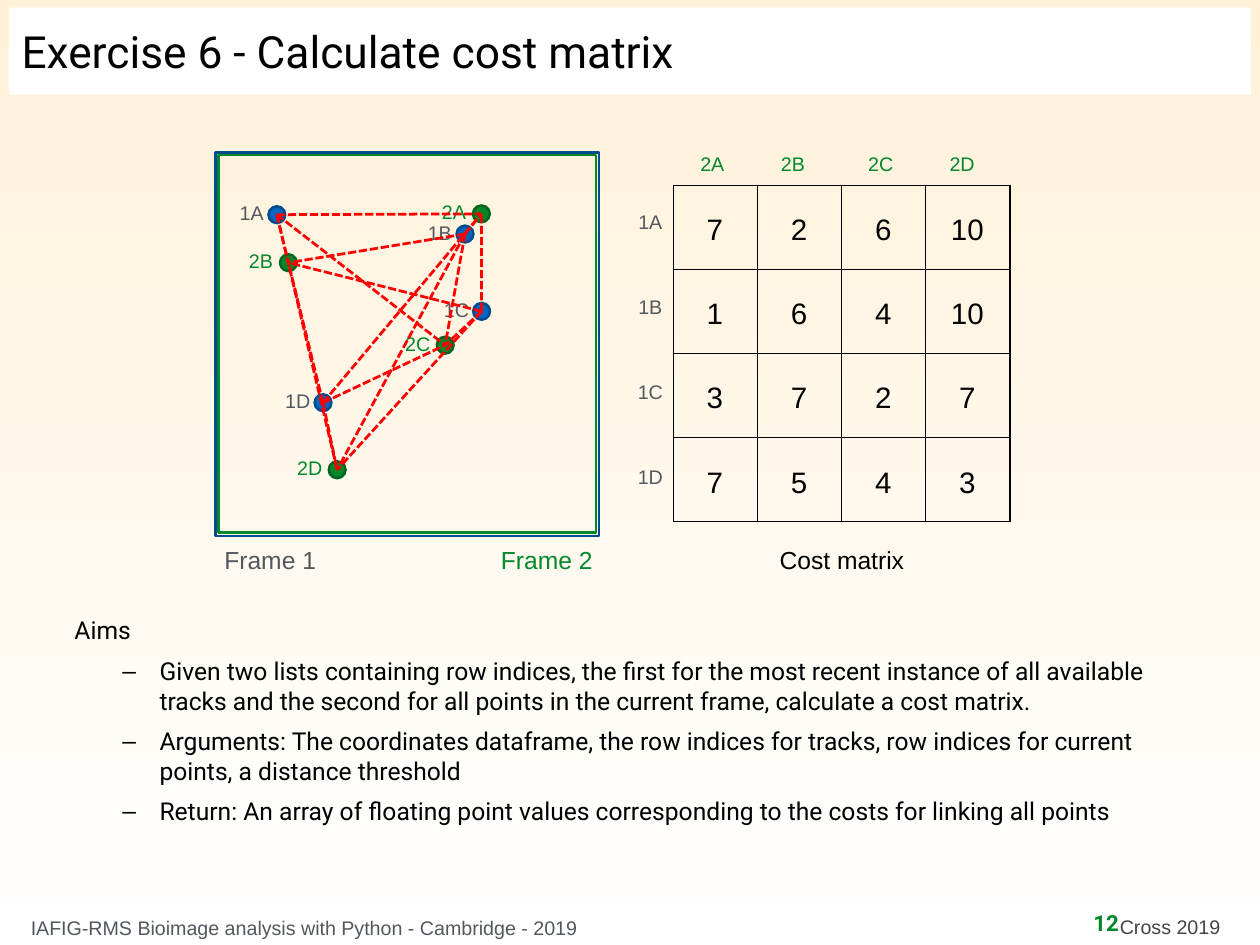
from itertools import product

from lxml import etree
from pptx import Presentation
from pptx.dml.color import RGBColor
from pptx.enum import dml, shapes, text as txt
from pptx.oxml import ns
from pptx.util import Pt

HUES = {
    "ink": "000000", "white": "FFFFFF", "cream": "FFF1D8", "gray": "53585F",
    "dark": "444444", "green": "00882B", "moss": "006520", "blue": "0365C0",
    "navy": "024B8E", "red": "FF0000",
}
# Centres of the points in each frame
FIRST = {"1A": (225, 174.5), "1B": (377.9, 190.2),
         "1C": (391.4, 253), "1D": (262.5, 327.3)}
SECOND = {"2A": (391.2, 173.8), "2B": (234.4, 213.5),
          "2C": (361.8, 280.5), "2D": (274, 381.8)}
COSTS = [[7, 2, 6, 10], [1, 6, 4, 10], [3, 7, 2, 7], [7, 5, 4, 3]]
AIMS = [
    "Given two lists containing row indices, the first for the most recent "
    "instance of all available tracks and the second for all points in the "
    "current frame, calculate a cost matrix.",
    "Arguments: The coordinates dataframe, the row indices for tracks, "
    "row indices for current points, a distance threshold",
    "Return: An array of floating point values corresponding to the costs "
    "for linking all points",
]
CELL = 68.4
DOT = 13.7
LEFT, MID = txt.PP_ALIGN.LEFT, txt.PP_ALIGN.CENTER


def hue(name):
    return RGBColor.from_string(HUES[name])


def box(*nums):
    return [Pt(n) for n in nums]


def write(para, words, size=16, font="Arial", color="ink", bold=False,
          align=MID, before=0):
    para.alignment = align
    para.space_before = Pt(before)
    run = para.add_run()
    run.text = words
    run.font.size = Pt(size)
    run.font.name = font
    run.font.bold = bold
    run.font.color.rgb = hue(color)


def frame(shape, pad=(7.2, 3.6), wrap=True, anchor=txt.MSO_ANCHOR.TOP):
    body = shape.text_frame
    body.auto_size = txt.MSO_AUTO_SIZE.NONE
    body.word_wrap = wrap
    body.vertical_anchor = anchor
    body.margin_left = body.margin_right = Pt(pad[0])
    body.margin_top = body.margin_bottom = Pt(pad[1])
    return body


def label(slide, words, place, pad=(7.2, 3.6), wrap=True, **style):
    body = frame(slide.shapes.add_textbox(*box(*place)), pad, wrap)
    write(body.paragraphs[0], words, **style)


def block(slide, kind, place, fill=None, line=None):
    item = slide.shapes.add_shape(kind, *box(*place))
    item.shadow.inherit = False
    if fill:
        item.fill.solid()
        item.fill.fore_color.rgb = hue(fill)
    else:
        item.fill.background()
    if line:
        item.line.color.rgb = hue(line)
        item.line.width = Pt(2)
    else:
        item.line.fill.background()


def link(slide, start, end):
    line = slide.shapes.add_connector(
        shapes.MSO_CONNECTOR.STRAIGHT, *box(*start, *end))
    line.line.color.rgb = hue("red")
    line.line.width = Pt(2.25)
    line.line.dash_style = dml.MSO_LINE.SQUARE_DOT
    etree.SubElement(line._element.spPr, ns.qn("a:effectLst"))


def points(slide, spots, shift, color, fill, edge):
    for name, (x, y) in spots.items():
        label(slide, name, (x - shift - 22.3, y - 14.6, 44.6, 26.6), color=color)
        block(slide, shapes.MSO_SHAPE.OVAL,
              (x - DOT / 2, y - DOT / 2, DOT, DOT), fill, edge)


def border(cell):
    cell.fill.background()
    props = cell._tc.get_or_add_tcPr()
    for i, side in enumerate("LRTB"):
        line = etree.Element(ns.qn("a:ln" + side), w=str(Pt(1)))
        solid = etree.SubElement(line, ns.qn("a:solidFill"))
        etree.SubElement(solid, ns.qn("a:srgbClr"), val=HUES["ink"])
        props.insert(i, line)


def matrix(slide):
    size = len(COSTS)
    table = slide.shapes.add_table(
        size, size, *box(547.2, 150.5, CELL * size, CELL * size)).table
    table.first_row = table.horz_banding = False
    for i in range(size):
        table.columns[i].width = table.rows[i].height = Pt(CELL)
    # The costs lie over the grid
    for i, j in product(range(size), repeat=2):
        border(table.cell(i, j))
        label(slide, str(COSTS[i][j]),
              (547.2 + CELL * j, 166.3 + CELL * i, 67.7, 36),
              pad=(7.2, 5.2), size=24)
    for i, name in enumerate(FIRST):
        label(slide, name, (506.2, 167 + 69.1 * i, 44.6, 26.6), color="gray")
    for x, name in zip((556.6, 622.1, 693.4, 759.6), SECOND):
        label(slide, name, (x, 119.9, 44.6, 26.6), color="green")


def place(holder, *nums):
    holder.left, holder.top, holder.width, holder.height = box(*nums)


def heading(slide):
    title = slide.shapes.title
    place(title, 7.2, 6.3, 1009.4, 70.6)
    title.fill.solid()
    title.fill.fore_color.rgb = hue("white")
    body = frame(title, (10.3, 5.8), anchor=txt.MSO_ANCHOR.MIDDLE)
    write(body.paragraphs[0], "Exercise 6 - Calculate cost matrix",
          size=36, font="Roboto", align=LEFT)


def bullet(para, mark=None, left=0, hang=0):
    props = para._p.get_or_add_pPr()
    props.set("marL", str(Pt(left)))
    props.set("indent", str(Pt(-hang)))
    if mark:
        etree.SubElement(props, ns.qn("a:buChar"), char=mark)
    else:
        etree.SubElement(props, ns.qn("a:buNone"))


def aims(slide):
    holder = slide.placeholders[1]
    place(holder, 54.7, 494.2, 914.4, 187.9)
    body = frame(holder, (5.8, 5.8))
    style = dict(size=20, font="Roboto", align=LEFT)
    bullet(body.paragraphs[0])
    write(body.paragraphs[0], "Aims", **style)
    for words in AIMS:
        para = body.add_paragraph()
        para.level = 1
        bullet(para, "–", 69.1, 30.2)
        write(para, words, before=9, **style)


def footer(slide):
    block(slide, shapes.MSO_SHAPE.RECTANGLE, (6.5, 743.8, 1017.3, 24.2), "white")
    flat = dict(pad=(5.8, 5.8), wrap=False)
    label(slide, "Cross 2019", (904.3, 738, 98.7, 31), color="dark",
          align=LEFT, **flat)
    label(slide, "IAFIG-RMS Bioimage analysis with Python - Cambridge - 2019",
          (19.2, 738.8, 462.2, 30), color="gray", align=LEFT, **flat)
    label(slide, "12", (887.8, 733.2, 22.3, 33.8), size=18, font="Roboto",
          color="green", bold=True, **flat)


def main():
    deck = Presentation()
    deck.slide_width, deck.slide_height = box(1024, 768)
    slide = deck.slides.add_slide(deck.slide_layouts[1])

    # Background
    back = slide.background.fill
    back.gradient()
    back.gradient_angle = 270
    for stop, spot, name in zip(back.gradient_stops, (0, 1), ("cream", "white")):
        stop.position = spot
        stop.color.rgb = hue(name)

    # Text and table
    footer(slide)
    heading(slide)
    aims(slide)
    matrix(slide)
    for words, x, color in (("Frame 1", 103.7, "gray"),
                            ("Frame 2", 328.5, "green"),
                            ("Cost matrix", 568.3, "ink")):
        label(slide, words, (x, 439.2, 231.8, 31.7), size=20, color=color)

    # Both frames, their points and all links between them
    rect = shapes.MSO_SHAPE.RECTANGLE
    block(slide, rect, (177.8, 126.2, 306.7, 306.7), line="green")
    points(slide, SECOND, 22.3, "green", "green", "moss")
    block(slide, rect, (175, 123.8, 311.8, 311.8), line="navy")
    points(slide, FIRST, 20.5, "gray", "blue", "navy")
    for start, end in product(FIRST.values(), SECOND.values()):
        link(slide, start, end)

    deck.save("out.pptx")


if __name__ == "__main__":
    main()
